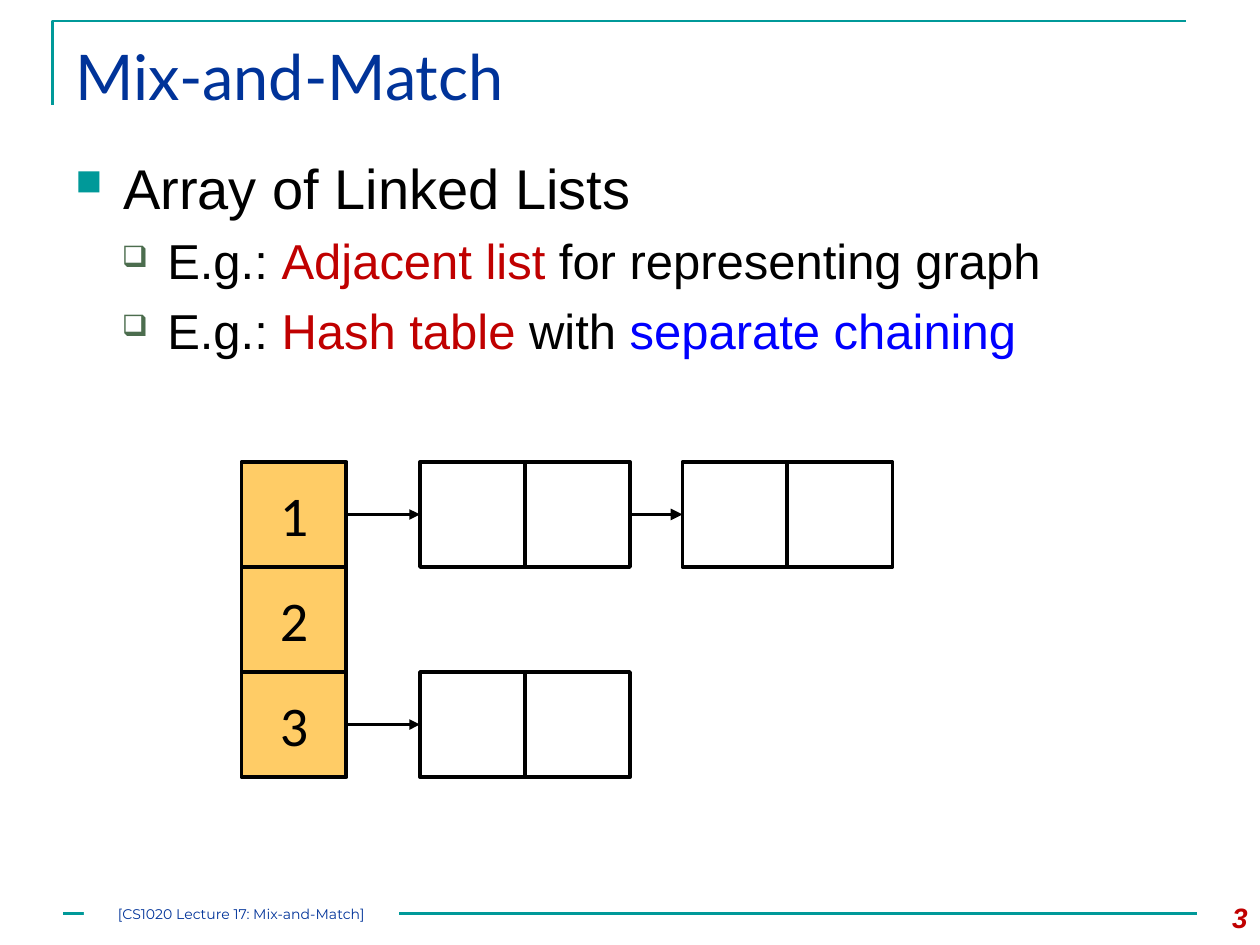
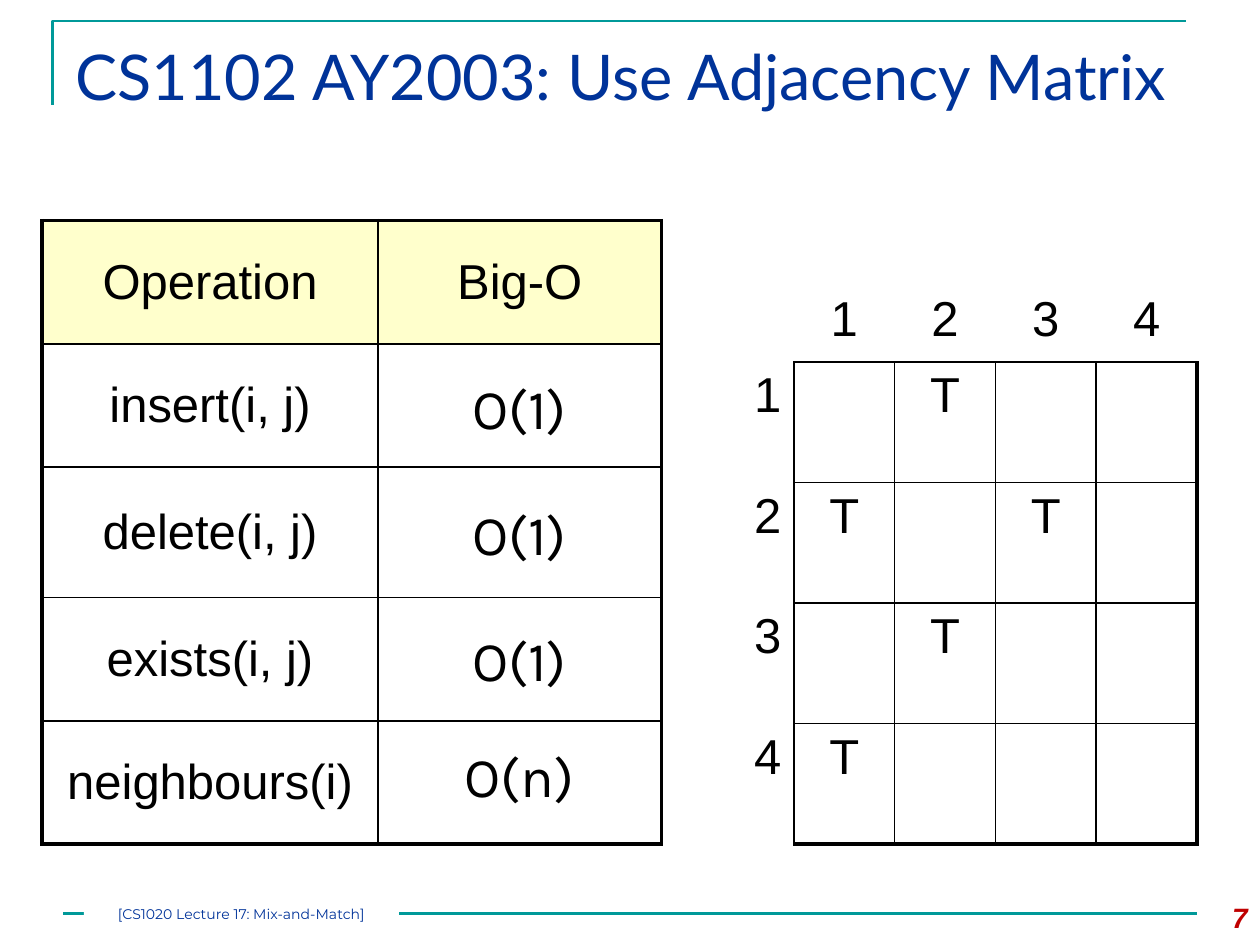
"""Build two lecture slides on mixing arrays and linked lists."""
from dataclasses import dataclass, replace
from typing import Any, NamedTuple, Optional

from lxml import etree
from pptx import Presentation
from pptx import util as u
from pptx.dml.color import RGBColor
from pptx.enum import shapes, text
from pptx.oxml.ns import qn

COLUMNS, ROWS = 120, 90
SLIDE_WIDTH, SLIDE_HEIGHT = u.Inches(10), u.Inches(7.5)
CELL = 10
ALIGN, ANCHOR = text.PP_ALIGN, text.MSO_ANCHOR


@dataclass(frozen=True)
class Style:
    """Font, size and colour of a piece of text."""
    name: str
    size: float
    color: str = "000000"
    bold: bool = False
    italic: bool = False


@dataclass(frozen=True)
class Theme:
    """Colours, line widths and type styles shared by the slides."""
    accent: str = "009999"
    ink: str = "000000"
    paper: str = "FFFFFF"
    array_fill: str = "FFCC66"
    header_fill: str = "FFFFCC"
    key_term: str = "C00000"
    method_term: str = "0000FF"
    sub_bullet: str = "4C6D4E"
    thin: float = 1
    frame: float = 1.5
    head_link: float = 2
    heavy: float = 2.25
    title: Style = Style("Lato", 36, "003399")
    topic: Style = Style("Arial", 32)
    detail: Style = Style("Arial", 28)
    index: Style = Style("Calibri", 32)
    cost: Style = Style("Karla", 32)
    footer: Style = Style("Montserrat", 8, "003399")
    number: Style = Style("Arial", 16, "C00000", True, True)


THEME = Theme()


class Box(NamedTuple):
    """A rectangle in grid columns and rows."""
    left: float
    top: float
    width: float
    height: float

    def emu(self) -> tuple:
        """Return left, top, width and height in EMU."""
        return across(self.left), down(self.top), across(self.width), down(self.height)


class Point(NamedTuple):
    """A place in grid columns and rows."""
    column: float
    row: float


class Bullet(NamedTuple):
    """Mark and indents of a list level, in inches."""
    mark: str
    color: str
    percent: int
    margin: float
    hanging: float
    style: Style


class Item(NamedTuple):
    """A list line made of (text, colour) parts."""
    bullet: Bullet
    parts: tuple


@dataclass(frozen=True)
class Matrix:
    """A table whose ruled area starts at a given row and column."""
    at: Point
    widths: tuple
    heights: tuple
    values: tuple
    first_ruled: int
    heavy_sides: str
    header_fill: str
    header_format: dict
    body_format: dict
    label_align: Any = ALIGN.CENTER


def across(columns: float) -> int:
    """Convert grid columns to EMU."""
    return round(SLIDE_WIDTH * columns / COLUMNS)


def down(rows: float) -> int:
    """Convert grid rows to EMU."""
    return round(SLIDE_HEIGHT * rows / ROWS)


def apply(target: Any, values: dict) -> None:
    """Set each named attribute on the target."""
    for name, value in values.items():
        setattr(target, name, value)


def add_run(paragraph: Any, words: str, style: Style) -> None:
    """Append styled words to a paragraph."""
    run = paragraph.add_run()
    run.text = words
    apply(run.font, {"name": style.name, "size": u.Pt(style.size),
                     "bold": style.bold, "italic": style.italic})
    run.font.color.rgb = RGBColor.from_string(style.color)


def write(frame: Any, words: str, style: Style, align: Any = ALIGN.CENTER) -> None:
    """Put one styled line into a text frame."""
    paragraph = frame.paragraphs[0]
    paragraph.alignment = align
    add_run(paragraph, words, style)


def add_text(slide: Any, box: Box, words: str, style: Style, align: Any = ALIGN.CENTER) -> None:
    """Add a wrapping text box with one line."""
    frame = slide.shapes.add_textbox(*box.emu()).text_frame
    frame.word_wrap = True
    write(frame, words, style, align)


def stroke(line: Any, color: str, width: float) -> None:
    """Give a line its colour and width."""
    line.color.rgb = RGBColor.from_string(color)
    line.width = u.Pt(width)


def add_box(slide: Any, box: Box, fill: str, outlined: bool = True) -> Any:
    """Add a flat rectangle without insets."""
    shape = slide.shapes.add_shape(shapes.MSO_SHAPE.RECTANGLE, *box.emu())
    shape.shadow.inherit = False
    shape.fill.solid()
    shape.fill.fore_color.rgb = RGBColor.from_string(fill)
    if outlined:
        stroke(shape.line, THEME.ink, THEME.heavy)
    else:
        shape.line.fill.background()
    margins = dict.fromkeys(("margin_left", "margin_top", "margin_right", "margin_bottom"), 0)
    apply(shape.text_frame, {**margins, "vertical_anchor": ANCHOR.MIDDLE})
    return shape


def add_line(slide: Any, start: Point, end: Point, color: str, width: float) -> Any:
    """Add a straight connector without a shadow."""
    line = slide.shapes.add_connector(
        shapes.MSO_CONNECTOR.STRAIGHT, across(start.column), down(start.row),
        across(end.column), down(end.row))
    stroke(line.line, color, width)
    etree.SubElement(line._element.spPr, qn("a:effectLst"))
    return line


def link(slide: Any, source: Any, target: Any, width: float) -> None:
    """Draw an arrow from a cell's right side to the next cell's left side."""
    arrow = add_line(slide, Point(0, 0), Point(1, 1), THEME.ink, width)
    arrow.begin_connect(source, 3)
    arrow.end_connect(target, 1)
    etree.SubElement(arrow.line._get_or_add_ln(), qn("a:tailEnd"), type="triangle")


def start_slide(deck: Any, heading: str, number: str) -> Any:
    """Add a slide with its corner frame, title and footer."""
    slide = deck.slides.add_slide(deck.slide_layouts[5])
    outline = slide.shapes.build_freeform(across(5), down(10))
    outline.add_line_segments([(across(5), down(2)), (across(113), down(2))], close=False)
    corner = outline.convert_to_shape()
    corner.shadow.inherit = False
    corner.fill.background()
    stroke(corner.line, THEME.accent, THEME.frame)
    add_line(slide, Point(6, 87), Point(114, 87), THEME.accent, THEME.frame)

    title = slide.shapes.title
    apply(title, dict(zip(("left", "top", "width", "height"), Box(6, 3, 108, 10.3).emu())))
    apply(title.text_frame, {"vertical_anchor": ANCHOR.TOP, "word_wrap": True,
                             "auto_size": text.MSO_AUTO_SIZE.NONE})
    write(title.text_frame, heading, THEME.title, ALIGN.LEFT)

    add_text(slide, Box(112, 85.2, 8, 4.8), number, THEME.number, ALIGN.RIGHT)
    lecture = add_box(slide, Box(8, 86, 30, 2), THEME.paper, outlined=False)
    write(lecture.text_frame, "[CS1020 Lecture 17: Mix-and-Match]", THEME.footer)
    return slide


def add_list(slide: Any, box: Box, items: tuple) -> None:
    """Add a bulleted list."""
    frame = slide.shapes.add_textbox(*box.emu()).text_frame
    frame.word_wrap = True
    for order, (bullet, parts) in enumerate(items):
        paragraph = frame.add_paragraph() if order else frame.paragraphs[0]
        paragraph.space_before = u.Pt(6)
        props = paragraph._p.get_or_add_pPr()
        props.set("marL", str(u.Inches(bullet.margin)))
        props.set("indent", str(-u.Inches(bullet.hanging)))
        color = etree.SubElement(props, qn("a:buClr"))
        etree.SubElement(color, qn("a:srgbClr"), val=bullet.color)
        etree.SubElement(props, qn("a:buSzPct"), val=str(bullet.percent * 1000))
        etree.SubElement(props, qn("a:buChar"), char=bullet.mark)
        for words, ink in parts:
            add_run(paragraph, words, replace(bullet.style, color=ink))


def rule_edge(cell: Any, side: str, width: Optional[float]) -> None:
    """Draw or clear one border of a table cell."""
    edge = etree.SubElement(cell._tc.get_or_add_tcPr(), qn(f"a:ln{side}"))
    if width is None:
        etree.SubElement(edge, qn("a:noFill"))
        return
    edge.set("w", str(u.Pt(width)))
    fill = etree.SubElement(edge, qn("a:solidFill"))
    etree.SubElement(fill, qn("a:srgbClr"), val=THEME.ink)


def add_matrix(slide: Any, matrix: Matrix) -> None:
    """Add a table with thin inner rules and heavy outer sides."""
    box = Box(*matrix.at, sum(matrix.widths), sum(matrix.heights))
    last_row, last_column = len(matrix.heights) - 1, len(matrix.widths) - 1
    table = slide.shapes.add_table(last_row + 1, last_column + 1, *box.emu()).table
    apply(table, {"first_row": False, "horz_banding": False})
    for column, width in zip(table.columns, matrix.widths):
        column.width = across(width)
    for row, height in zip(table.rows, matrix.heights):
        row.height = down(height)
    first = matrix.first_ruled
    for r, values in enumerate(matrix.values):
        for c, value in enumerate(values):
            cell = table.cell(r, c)
            ruled = r >= first and c >= first
            outer = {"L": c == first, "R": c == last_column,
                     "T": r == first, "B": r == last_row}
            touching = {"R": c == first - 1 and r >= first,
                        "B": r == first - 1 and c >= first}
            for side, is_outer in outer.items():
                heavy = is_outer and side in matrix.heavy_sides
                drawn = ruled or touching.get(side, False)
                width = THEME.heavy if heavy else THEME.thin
                rule_edge(cell, side, width if drawn else None)
            cell.fill.solid()
            fill = THEME.paper if r else matrix.header_fill
            cell.fill.fore_color.rgb = RGBColor.from_string(fill)
            apply(cell, matrix.body_format if r else matrix.header_format)
            if value:
                align = matrix.label_align if c == 0 else ALIGN.CENTER
                write(cell.text_frame, value, THEME.detail, align)


def build_mix_and_match(deck: Any) -> None:
    """Show an array whose slots lead to linked lists."""
    slide = start_slide(deck, "Mix-and-Match", "3")
    topic = Bullet("■", THEME.accent, 65, 0.38, 0.38, THEME.topic)
    example = Bullet("❑", THEME.sub_bullet, 60, 0.73, 0.36, THEME.detail)
    add_list(slide, Box(6, 14, 108, 24), (
        Item(topic, (("Array of Linked Lists", THEME.ink),)),
        Item(example, (("E.g.: ", THEME.ink), ("Adjacent list ", THEME.key_term),
                       ("for representing graph", THEME.ink))),
        Item(example, (("E.g.: ", THEME.ink), ("Hash table ", THEME.key_term),
                       ("with ", THEME.ink), ("separate chaining", THEME.method_term))),
    ))
    for slot, node_count in enumerate((2, 0, 1)):
        top = 44 + slot * CELL
        source = add_box(slide, Box(23, top, CELL, CELL), THEME.array_fill)
        write(source.text_frame, str(slot + 1), THEME.index)
        for node in range(node_count):
            left = 40 + node * 2.5 * CELL
            item, pointer = (add_box(slide, Box(left + part * CELL, top, CELL, CELL), THEME.paper)
                             for part in range(2))
            link(slide, source, item, THEME.heavy if node else THEME.head_link)
            source = pointer


def build_adjacency_matrix(deck: Any) -> None:
    """Show operation costs beside an adjacency matrix."""
    slide = start_slide(deck, "CS1102 AY2003: Use Adjacency Matrix", "7")
    middle = {"vertical_anchor": ANCHOR.MIDDLE}
    operations = ("insert(i, j)", "delete(i, j)", "exists(i, j)", "neighbours(i)")
    add_matrix(slide, Matrix(
        Point(4, 21), (32, 27), (11.75, 11.75, 12.4, 11.75, 11.75),
        (("Operation", "Big-O"), *((operation, "") for operation in operations)),
        0, "LTRB", THEME.header_fill, middle, middle))

    edges = {(1, 2), (2, 1), (2, 3), (3, 2), (4, 1)}
    vertices = range(1, 5)
    rows = ((str(i), *("T" if (i, j) in edges else "" for j in vertices)) for i in vertices)
    add_matrix(slide, Matrix(
        Point(66, 21), (9.6,) * 5, (13.5,) + (11.47,) * 4,
        (("", *map(str, vertices)), *rows), 1, "RB", THEME.paper,
        {"vertical_anchor": ANCHOR.BOTTOM, "margin_bottom": u.Inches(0.12)},
        {"vertical_anchor": ANCHOR.TOP}, ALIGN.RIGHT))

    for top, cost in zip((35, 47, 59, 70), ("O(1)", "O(1)", "O(1)", "O(n)")):
        add_text(slide, Box(38.5, top, 22, 7.5), cost, THEME.cost)


def main() -> None:
    """Build and save the deck."""
    deck = Presentation()
    apply(deck, {"slide_width": SLIDE_WIDTH, "slide_height": SLIDE_HEIGHT})
    build_mix_and_match(deck)
    build_adjacency_matrix(deck)
    deck.save("out.pptx")


if __name__ == "__main__":
    main()
